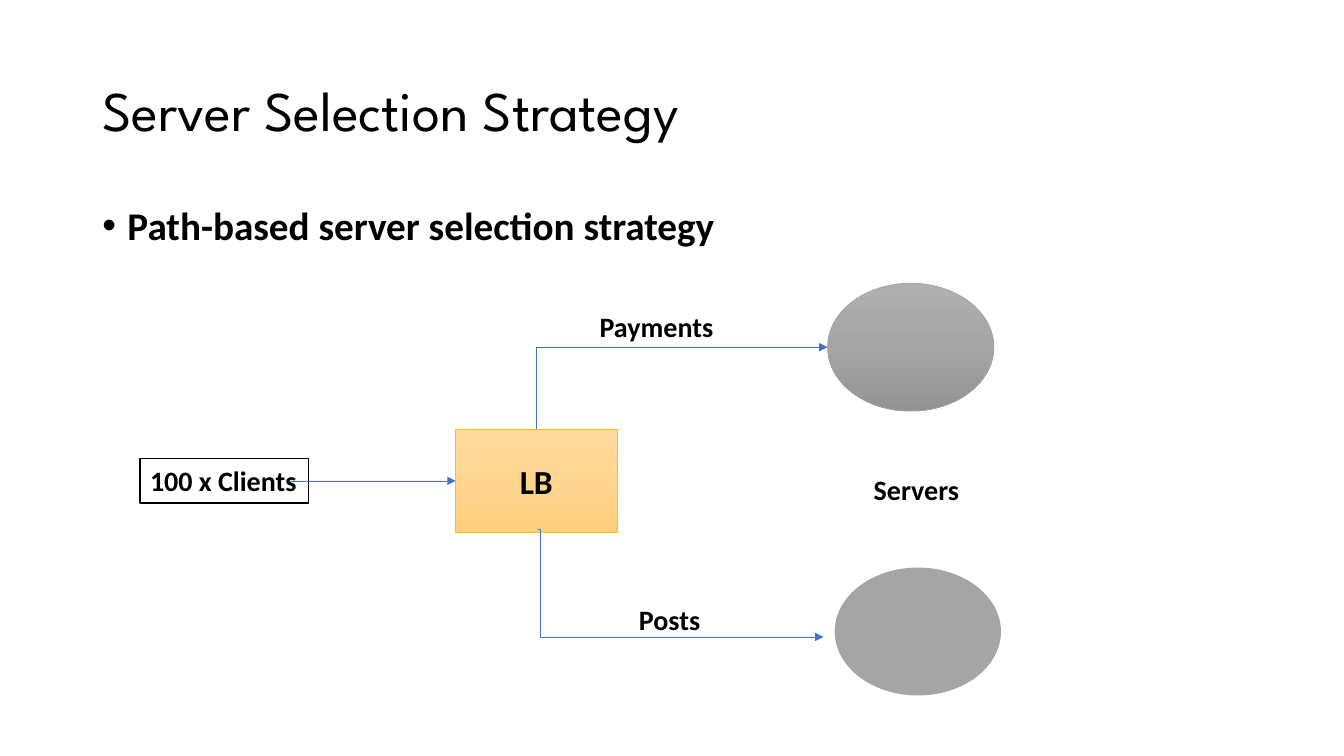
from copy import deepcopy

from pptx import Presentation
from pptx.dml.color import RGBColor
from pptx.enum.shapes import MSO_CONNECTOR as Link, MSO_SHAPE as Preset
from pptx.enum.text import MSO_ANCHOR as Anchor, MSO_AUTO_SIZE as Fit, PP_ALIGN as Align
from pptx.oxml.ns import qn
from pptx.util import Pt
from lxml.etree import SubElement

COLORS = {
    "text": "000000",
    "paper": "FFFFFF",
    "arrow": "4472C4",
    "balancer_edge": "FFC000",
    "server": "A5A5A5",
}
BALANCER_SHADES = ("FFDB9E", "FFD590", "FFD07C")
SERVER_SHADES = ("AFAFAF", "A5A5A5", "939393")


class Diagram:
    """Draws styled elements on one slide, with lengths in points."""

    def __init__(self, slide, font="Calibri"):
        self.shapes = slide.shapes
        self.font = font

    def caption(self, shape, wording, size, font=None, bold=True):
        paragraph = shape.text_frame.paragraphs[0]
        run = paragraph.add_run()
        run.text = wording
        run.font.size = Pt(size)
        run.font.name = font or self.font
        run.font.bold = bold
        run.font.color.rgb = RGBColor.from_string(COLORS["text"])
        return paragraph

    def text(self, wording, left, top, width, height, size, wrap=True, grow=False, **style):
        box = self.shapes.add_textbox(Pt(left), Pt(top), Pt(width), Pt(height))
        box.text_frame.word_wrap = wrap
        box.text_frame.auto_size = Fit.SHAPE_TO_FIT_TEXT if grow else Fit.NONE
        self.caption(box, wording, size, **style)
        return box

    def label(self, wording, left, top, width, wrap=True):
        return self.text(wording, left, top, width, 31.7, 20, wrap, grow=True)

    def bullet(self, paragraph, indent):
        properties = paragraph._p.get_or_add_pPr()
        properties.set("marL", str(Pt(indent)))
        properties.set("indent", str(-Pt(indent)))
        SubElement(properties, qn("a:buFont")).set("typeface", "Arial")
        SubElement(properties, qn("a:buChar")).set("char", "•")

    def outline(self, shape, color, width):
        shape.line.color.rgb = RGBColor.from_string(COLORS[color])
        shape.line.width = Pt(width)

    def shade(self, shape, shades):
        shape.fill.gradient()
        shape.fill.gradient_angle = 270
        stops = shape._element.spPr.find(qn("a:gradFill")).find(qn("a:gsLst"))
        stops.append(deepcopy(stops[-1]))
        for index, (stop, color) in enumerate(zip(shape.fill.gradient_stops, shades)):
            stop.position = index / 2
            stop.color.rgb = RGBColor.from_string(color)

    def node(self, preset, left, top, width, height, shades=None, edge=None):
        shape = self.shapes.add_shape(preset, Pt(left), Pt(top), Pt(width), Pt(height))
        shape.shadow.inherit = False
        if shades:
            self.shade(shape, shades)
        else:
            shape.fill.solid()
            shape.fill.fore_color.rgb = RGBColor.from_string(COLORS["server"])
        if edge:
            self.outline(shape, edge, 0.5)
        else:
            shape.line.fill.background()
        return shape

    def arrow(self, kind, start, end, bend=None):
        link = self.shapes.add_connector(kind, *map(Pt, start + end))
        self.outline(link, "arrow", 0.5)
        properties = link._element.spPr
        SubElement(properties.get_or_add_ln(), qn("a:tailEnd")).set("type", "triangle")
        SubElement(properties, qn("a:effectLst"))
        if bend is not None:
            guides = properties.find(qn("a:prstGeom")).get_or_add_avLst()
            guide = SubElement(guides, qn("a:gd"))
            guide.set("name", "adj1")
            guide.set("fmla", f"val {bend}")
        return link


def main():
    deck = Presentation()
    deck.slide_width, deck.slide_height = Pt(960), Pt(540)
    diagram = Diagram(deck.slides.add_slide(deck.slide_layouts[6]))

    title = diagram.text("Server Selection Strategy", 66, 28.8, 828, 104.4, 40,
                         font="League Spartan", bold=False)
    title.text_frame.vertical_anchor = Anchor.MIDDLE
    title.text_frame.paragraphs[0].line_spacing = 0.9

    strategy = diagram.text("Path-based server selection strategy", 66, 144, 828, 342.7, 28)
    point = strategy.text_frame.paragraphs[0]
    point.line_spacing = 0.9
    point.space_before = Pt(10)
    diagram.bullet(point, 18)

    balancer = diagram.node(Preset.RECTANGLE, 325.5, 306.75, 115.2, 73.5,
                            BALANCER_SHADES, "balancer_edge")
    balancer.text_frame.vertical_anchor = Anchor.MIDDLE
    diagram.caption(balancer, "LB", 24).alignment = Align.CENTER

    diagram.node(Preset.OVAL, 591.1, 202.3, 118.8, 91.4, SERVER_SHADES, "server")
    diagram.node(Preset.OVAL, 596.2, 405.4, 118.8, 91.4)

    diagram.arrow(Link.ELBOW, (383.1, 306.75), (591.1, 248), 0)
    diagram.arrow(Link.ELBOW, (384.5, 378), (588.2, 455), 700)

    clients = diagram.label("100 x Clients", 100.1, 327.6, 120.2, wrap=False)
    clients.fill.solid()
    clients.fill.fore_color.rgb = RGBColor.from_string(COLORS["paper"])
    diagram.outline(clients, "text", 1)

    requests = diagram.arrow(Link.STRAIGHT, (207.4, 343.5), (325.5, 343.5))
    requests.end_connect(balancer, 1)

    diagram.label("Servers", 617, 334.1, 76.3, wrap=False)
    diagram.label("Payments", 421.2, 217.4, 118.8)
    diagram.label("Posts", 449.3, 427, 115.2)

    deck.save("out.pptx")


if __name__ == "__main__":
    main()
